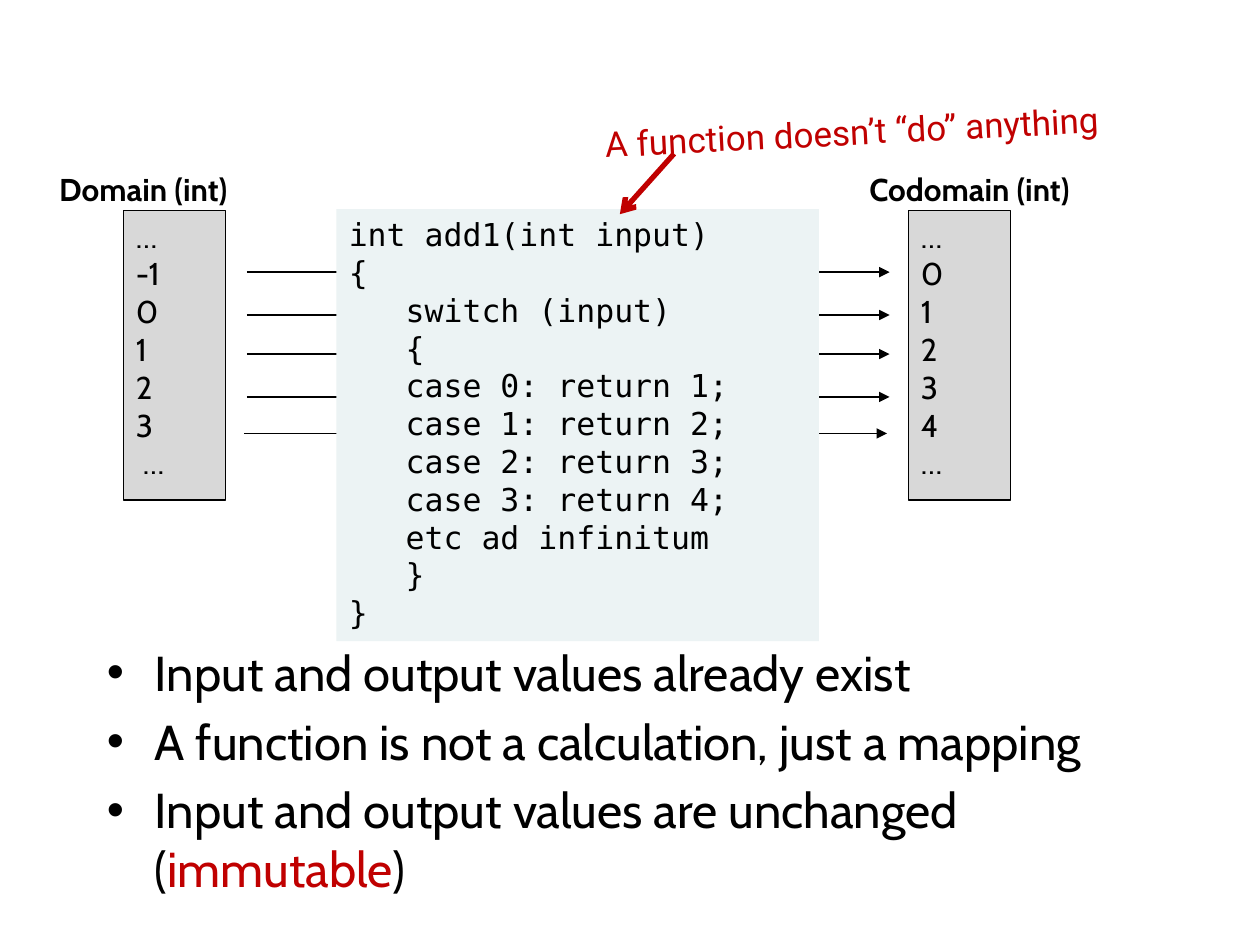
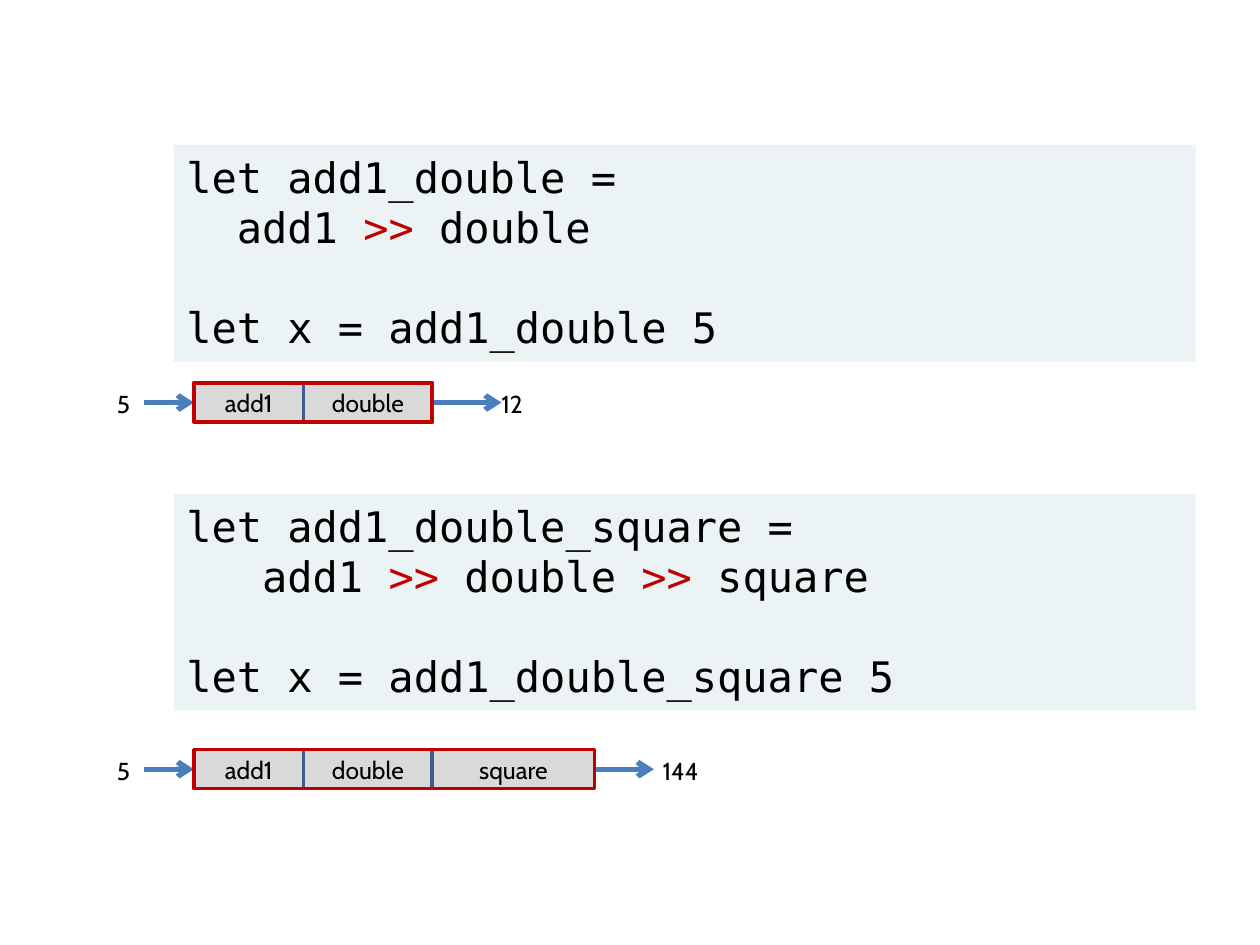
from lxml import etree
from pptx import Presentation
from pptx.dml.color import RGBColor
from pptx.enum.shapes import MSO_CONNECTOR, MSO_SHAPE
from pptx.enum.text import MSO_ANCHOR, PP_ALIGN
from pptx.oxml.ns import qn
from pptx.util import Inches, Pt

RECTANGLE = MSO_SHAPE.RECTANGLE
STRAIGHT = MSO_CONNECTOR.STRAIGHT
TOP, MIDDLE = MSO_ANCHOR.TOP, MSO_ANCHOR.MIDDLE
LEFT, CENTER = PP_ALIGN.LEFT, PP_ALIGN.CENTER
LEFT_SIDE, RIGHT_SIDE = 1, 3

BLACK = RGBColor(0x00, 0x00, 0x00)
ACCENT_RED = RGBColor(0xC0, 0x00, 0x00)
CODE_FILL = RGBColor(0xEC, 0xF3, 0xF4)
SET_FILL = RGBColor(0xD8, 0xD8, 0xD8)
STEP_FILL = RGBColor(0xD9, 0xD9, 0xD9)
STEP_LINE = RGBColor(0x3A, 0x5F, 0x8C)
FLOW_BLUE = RGBColor(0x4B, 0x7E, 0xBC)

BODY_FONT = "Cabin"
CODE_FONT = "DejaVu Sans Mono"
NOTE_FONT = "Roboto"
BULLET_FONT = "Arial"
ACCENT_MARK = "|"


def write_text(shape, lines, size, font=BODY_FONT, color=BLACK, bold=False, align=LEFT,
               anchor=TOP, margins=None, bullet=False, space_before=0):
    frame = shape.text_frame
    frame.word_wrap = True
    frame.vertical_anchor = anchor
    if margins is not None:
        frame.margin_left = frame.margin_right = Inches(margins)
        frame.margin_top = frame.margin_bottom = Inches(margins)
    gap = 0
    for index, line in enumerate(lines):
        if not line:
            gap = Pt(size * 1.19)
            continue
        paragraph = frame.paragraphs[0] if index == 0 else frame.add_paragraph()
        if bullet:
            add_bullet(paragraph)
        paragraph.alignment = align
        if index:
            paragraph.space_before = gap or Pt(space_before)
        gap = 0
        for position, piece in enumerate(line.split(ACCENT_MARK)):
            run = paragraph.add_run()
            run.text = piece
            run.font.name = font
            run.font.size = Pt(size)
            run.font.bold = bold
            run.font.color.rgb = ACCENT_RED if position % 2 else color


def add_bullet(paragraph):
    properties = paragraph._p.get_or_add_pPr()
    properties.set("marL", str(Inches(0.38)))
    properties.set("indent", str(-Inches(0.38)))
    etree.SubElement(properties, qn("a:buFont")).set("typeface", BULLET_FONT)
    etree.SubElement(properties, qn("a:buChar")).set("char", "•")


def add_text(slide, left, top, width, height, lines, size, **text_format):
    box = slide.shapes.add_textbox(Inches(left), Inches(top), Inches(width), Inches(height))
    write_text(box, lines, size, **text_format)
    return box


def add_box(slide, left, top, width, height, fill=None, line=None, line_width=0.75):
    shape = slide.shapes.add_shape(
        RECTANGLE, Inches(left), Inches(top), Inches(width), Inches(height))
    shape.shadow.inherit = False
    if fill is None:
        shape.fill.background()
    else:
        shape.fill.solid()
        shape.fill.fore_color.rgb = fill
    if line is None:
        shape.line.fill.background()
    else:
        shape.line.color.rgb = line
        shape.line.width = Pt(line_width)
    return shape


def add_code(slide, left, top, width, height, lines, size):
    box = add_box(slide, left, top, width, height, fill=CODE_FILL)
    write_text(box, lines, size, font=CODE_FONT)


def add_arrow(slide, start, end, color, width, head):
    arrow = slide.shapes.add_connector(
        STRAIGHT, Inches(start[0]), Inches(start[1]), Inches(end[0]), Inches(end[1]))
    arrow.line.color.rgb = color
    arrow.line.width = Pt(width)
    etree.SubElement(arrow.line._get_or_add_ln(), qn("a:tailEnd")).set("type", head)
    etree.SubElement(arrow._element.spPr, qn("a:effectLst"))
    return arrow


def add_value_set(slide, left, heading_left, heading, values):
    box = add_box(slide, left, 1.67, 0.81, 2.3, fill=SET_FILL, line=BLACK)
    write_text(box, values, 18)
    add_text(slide, heading_left, 1.35, 2.5, 0.43, [heading], 18, bold=True, margins=0)


def add_pipeline(slide, top, steps, arrow_end, result, result_left):
    height, start = 0.31, 1.54
    center = top + height / 2
    left = start
    boxes = []
    for name, width in steps:
        box = add_box(slide, left, top, width, height, STEP_FILL, STEP_LINE, 2)
        write_text(box, [name], 14, align=CENTER, anchor=MIDDLE)
        boxes.append(box)
        left += width
    entry = add_arrow(slide, (1.14, center), (start, center), FLOW_BLUE, 3, "arrow")
    entry.end_connect(boxes[0], LEFT_SIDE)
    leaving = add_arrow(slide, (left, center), (arrow_end, center), FLOW_BLUE, 3, "arrow")
    leaving.begin_connect(boxes[-1], RIGHT_SIDE)
    add_text(slide, 0.83, top, 0.31, 0.34, ["5"], 14)
    add_text(slide, result_left, top, 0.79, 0.34, [result], 14)
    add_box(slide, start, top, left - start, height, line=ACCENT_RED, line_width=2)


def build_mapping_slide(slide):
    for left, y in ((1.96, 2.16), (1.96, 2.5), (1.96, 2.81), (1.96, 3.15), (1.94, 3.44)):
        add_arrow(slide, (left, y), (left + 5.1, y), BLACK, 0.75, "triangle")
    add_value_set(slide, 0.98, 0.47, "Domain (int)", ["…", "-1", "0", "1", "2", "3", " …"])
    add_value_set(slide, 7.21, 6.9, "Codomain (int)", ["…", "0", "1", "2", "3", "4", "…"])
    add_code(slide, 2.67, 1.66, 3.83, 3.43, [
        "int add1(int input)",
        "{",
        "   switch (input)",
        "   {",
        "   case 0: return 1;",
        "   case 1: return 2;",
        "   case 2: return 3;",
        "   case 3: return 4;",
        "   etc ad infinitum",
        "   }",
        "}",
    ], 18)
    add_text(slide, 0.75, 5.05, 9, 2.17, [
        "Input and output values already exist",
        "A function is not a calculation, just a mapping",
        "Input and output values are unchanged (|immutable|)",
    ], 28, bullet=True, space_before=5.6)
    note = add_text(slide, 4.7, 0.8, 4.96, 0.44, ["A function doesn’t “do” anything"], 20,
                    font=NOTE_FONT, color=ACCENT_RED)
    note.rotation = 357
    add_arrow(slide, (5.35, 1.22), (4.92, 1.7), ACCENT_RED, 3, "arrow")


def build_composition_slide(slide):
    steps = [("add1", 0.87), ("double", 1.02), ("square", 1.29)]
    add_code(slide, 1.38, 1.15, 8.11, 1.72, [
        "let add1_double =",
        "  add1 |>>| double",
        "",
        "let x = add1_double 5",
    ], 24)
    add_pipeline(slide, 3.04, steps[:2], 3.98, "12", 3.88)
    add_code(slide, 1.38, 3.92, 8.11, 1.72, [
        "let add1_double_square =",
        "   add1 |>>| double |>>| square",
        "",
        "let x = add1_double_square 5",
    ], 24)
    add_pipeline(slide, 5.95, steps, 5.19, "144", 5.16)


def main():
    presentation = Presentation()
    presentation.slide_width = Inches(10)
    presentation.slide_height = Inches(7.5)
    blank = presentation.slide_layouts[6]
    for build in (build_mapping_slide, build_composition_slide):
        build(presentation.slides.add_slide(blank))
    presentation.save("out.pptx")


if __name__ == "__main__":
    main()
